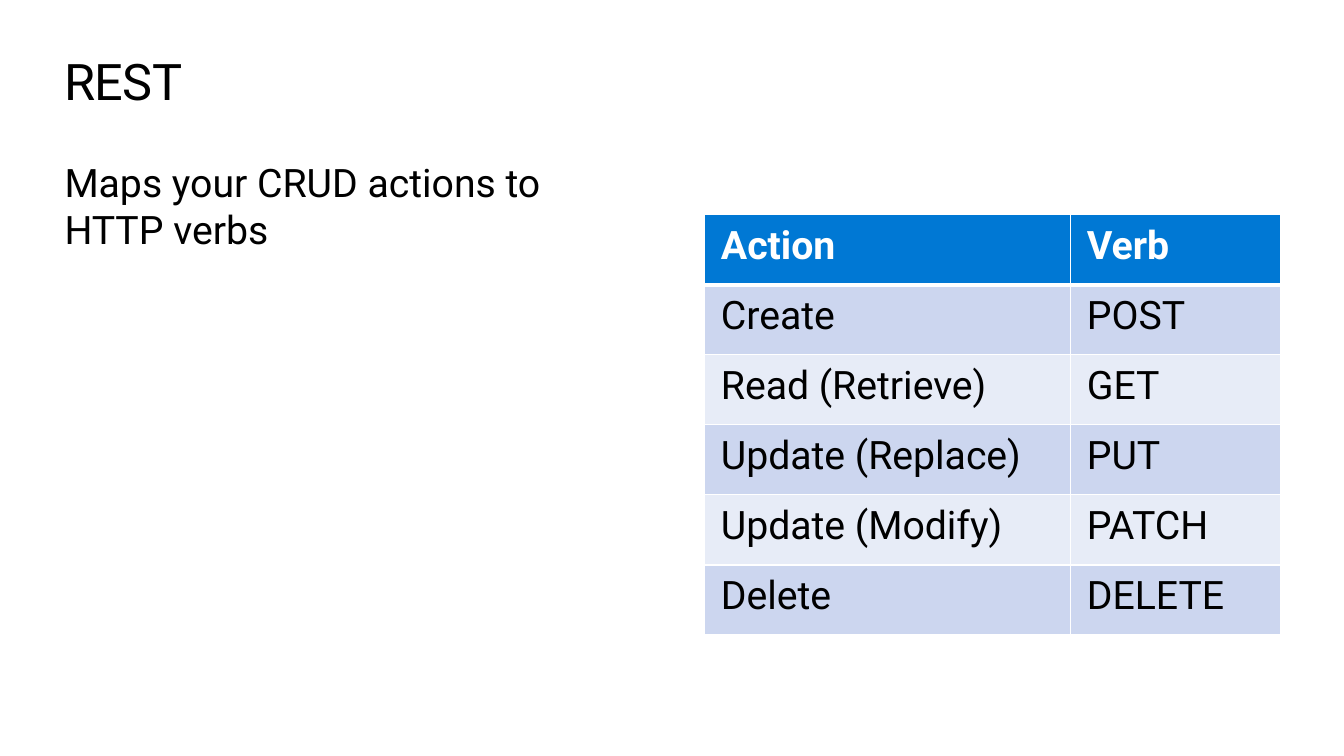
from dataclasses import dataclass

from lxml.etree import SubElement
from pptx import Presentation
from pptx.dml.color import RGBColor
from pptx.enum.text import MSO_ANCHOR
from pptx.oxml.ns import qn
from pptx.util import Inches, Pt

FONT = "Roboto"
BLACK, WHITE, BLUE = "000000", "FFFFFF", "0078D4"
BANDS = ("CCD6EF", "E7ECF7")
ROW_HEIGHT = 4.17 / 6
COLUMN_WIDTHS = (3.63, 2.08)
INSETS = {"margin_left": 0.16, "margin_top": 0.08, "margin_right": 0.16, "margin_bottom": 0.08}


@dataclass
class TextBlock:
    text: str
    left: float
    top: float
    width: float
    height: float
    size: float
    space_before: float = 0
    tracking: int = 0


@dataclass
class VerbMapping:
    action: str
    verb: str


BLOCKS = [
    TextBlock("REST", 0.64, 0.5, 12.05, 0.61, 36, tracking=-50),
    TextBlock("Maps your CRUD actions to HTTP verbs", 0.64, 1.57, 5.7, 5.29, 28, space_before=2.8),
]
MAPPINGS = [
    VerbMapping("Action", "Verb"),
    VerbMapping("Create", "POST"),
    VerbMapping("Read (Retrieve)", "GET"),
    VerbMapping("Update (Replace)", "PUT"),
    VerbMapping("Update (Modify)", "PATCH"),
    VerbMapping("Delete", "DELETE"),
]


def rgb(value: str) -> RGBColor:
    return RGBColor.from_string(value)


def add_run(p, text: str, size: float, color: str, bold: bool = False):
    r = p.add_run()
    r.text = text
    for name, value in {"name": FONT, "size": Pt(size), "bold": bold}.items():
        setattr(r.font, name, value)
    r.font.color.rgb = rgb(color)
    return r


def add_text(s, block: TextBlock) -> None:
    sp = s.shapes.add_textbox(
        Inches(block.left), Inches(block.top), Inches(block.width), Inches(block.height)
    )
    tf = sp.text_frame
    tf.word_wrap = True
    tf.vertical_anchor = MSO_ANCHOR.TOP
    for margin in INSETS:
        setattr(tf, margin, 0)
    p = tf.paragraphs[0]
    p.space_before = Pt(block.space_before)
    r = add_run(p, block.text, block.size, BLACK)
    if block.tracking:
        r.font._element.set("spc", str(block.tracking))


def add_border(tc_pr, side: str, width: float) -> None:
    ln = SubElement(tc_pr, qn(f"a:{side}"), w=str(Pt(width)))
    fill = SubElement(ln, qn("a:solidFill"))
    SubElement(fill, qn("a:srgbClr"), val=WHITE)


def format_cell(cell, text: str, row: int) -> None:
    header = row == 0
    for margin, value in INSETS.items():
        setattr(cell, margin, Inches(value))
    tc_pr = cell._tc.get_or_add_tcPr()
    widths = {"lnL": 1, "lnR": 1, "lnT": 3 if row == 1 else 1, "lnB": 3 if header else 1}
    for side, width in widths.items():
        add_border(tc_pr, side, width)
    cell.fill.solid()
    cell.fill.fore_color.rgb = rgb(BLUE if header else BANDS[(row - 1) % 2])
    add_run(cell.text_frame.paragraphs[0], text, 28, WHITE if header else BLACK, header)


def add_verb_table(s, mappings: list[VerbMapping]) -> None:
    table = s.shapes.add_table(
        len(mappings), len(COLUMN_WIDTHS), Inches(6.99), Inches(2.13),
        Inches(sum(COLUMN_WIDTHS)), Inches(ROW_HEIGHT * len(mappings)),
    ).table
    for column, width in zip(table.columns, COLUMN_WIDTHS):
        column.width = Inches(width)
    for i, mapping in enumerate(mappings):
        table.rows[i].height = Inches(ROW_HEIGHT)
        for j, text in enumerate((mapping.action, mapping.verb)):
            format_cell(table.cell(i, j), text, i)


def main() -> None:
    prs = Presentation()
    prs.slide_width, prs.slide_height = Inches(13.33), Inches(7.5)
    s = prs.slides.add_slide(prs.slide_layouts[6])
    for block in BLOCKS:
        add_text(s, block)
    add_verb_table(s, MAPPINGS)
    prs.save("out.pptx")


if __name__ == "__main__":
    main()
